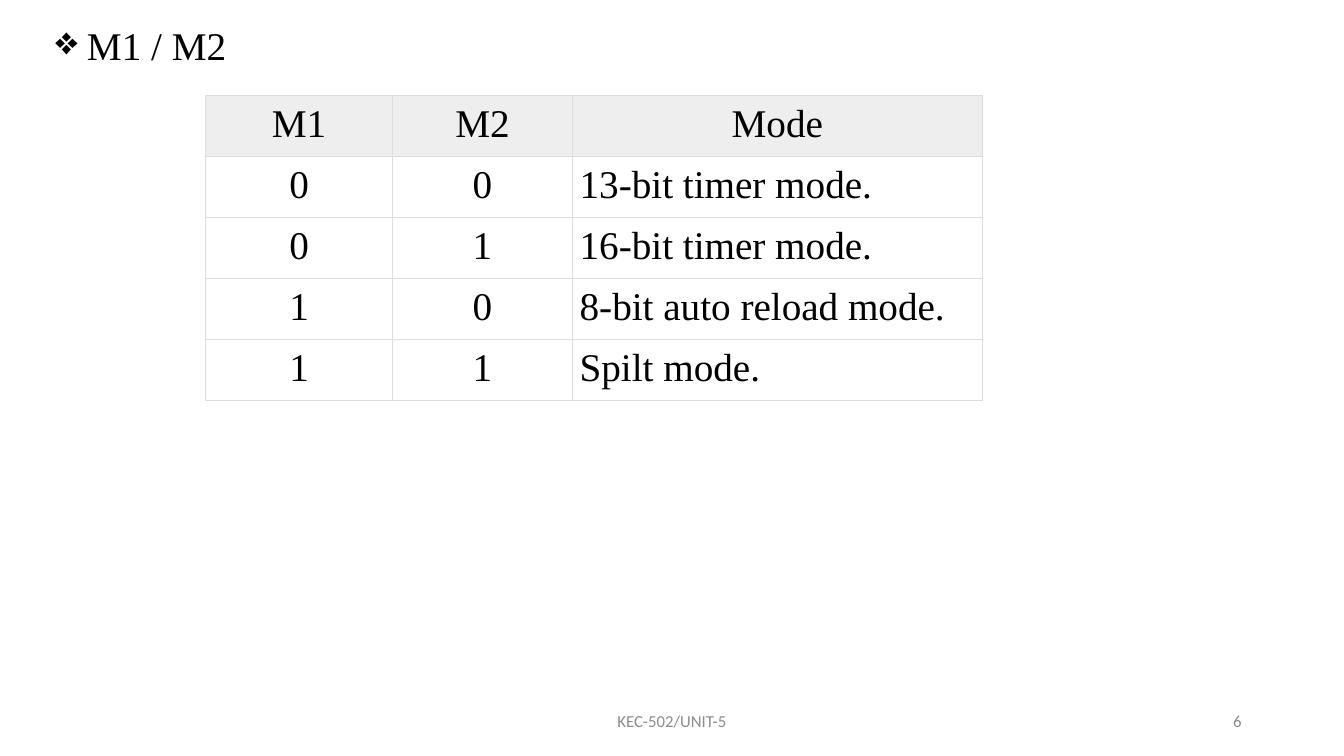
from lxml import etree
from pptx import Presentation
from pptx.dml.color import RGBColor
from pptx.enum import text
from pptx.oxml import ns
from pptx.util import Pt

COLORS = {"ink": "000000", "footer": "8C8C8C", "header": "EEEEEE", "border": "DDDDDD"}
BODY_FORMAT = {"name": "Times New Roman", "size": Pt(28), "bold": False}
FOOTER_FORMAT = {"name": "Calibri", "size": Pt(12)}
LEFT, CENTER, RIGHT = text.PP_ALIGN.LEFT, text.PP_ALIGN.CENTER, text.PP_ALIGN.RIGHT

MODES = [
    ("M1", "M2", "Mode"),
    ("0", "0", "13-bit timer mode."),
    ("0", "1", "16-bit timer mode."),
    ("1", "0", "8-bit auto reload mode."),
    ("1", "1", "Spilt mode."),
]
COLUMN_WIDTHS = (133.2, 128.9, 292.3)
ROW_HEIGHT = 43.2
CELL_MARGIN = 5


def set_attributes(target, values):
    for name, value in values.items():
        setattr(target, name, value)


def write(frame, words, font_format, color, align):
    line = frame.paragraphs[0]
    line.alignment = align
    run = line.add_run()
    run.text = words
    set_attributes(run.font, font_format)
    run.font.color.rgb = RGBColor.from_string(COLORS[color])
    return line


def place(shape, left, top, width, height):
    box = {"left": left, "top": top, "width": width, "height": height}
    set_attributes(shape, {side: Pt(length) for side, length in box.items()})


def add_heading(slide, words):
    heading = slide.shapes.title
    place(heading, 32.4, 11.5, 140.4, 41)
    set_attributes(heading.text_frame, {
        "word_wrap": False,
        "auto_size": text.MSO_AUTO_SIZE.SHAPE_TO_FIT_TEXT,
        "vertical_anchor": text.MSO_ANCHOR.TOP,
    })
    line = write(heading.text_frame, words, BODY_FORMAT, "ink", LEFT)
    # Hanging diamond bullet
    properties = line._p.get_or_add_pPr()
    properties.set("marL", str(Pt(22.5)))
    properties.set("indent", str(-Pt(22.5)))
    etree.SubElement(properties, ns.qn("a:buChar"), char="❖")


def add_footer(slide, words, left, width, align):
    footer = slide.shapes.add_textbox(Pt(left), Pt(500.4), Pt(width), Pt(28.8))
    set_attributes(footer.text_frame, {
        "word_wrap": True, "vertical_anchor": text.MSO_ANCHOR.MIDDLE})
    write(footer.text_frame, words, FOOTER_FORMAT, "footer", align)


def add_borders(cell):
    properties = cell._tc.get_or_add_tcPr()
    for position, side in enumerate(("lnL", "lnR", "lnT", "lnB")):
        border = etree.Element(ns.qn(f"a:{side}"), w=str(Pt(0.6)))
        fill = etree.SubElement(border, ns.qn("a:solidFill"))
        etree.SubElement(fill, ns.qn("a:srgbClr"), val=COLORS["border"])
        properties.insert(position, border)


def format_cell(cell, words, is_header, align):
    margins = ("margin_left", "margin_right", "margin_top", "margin_bottom")
    set_attributes(cell, dict.fromkeys(margins, Pt(CELL_MARGIN)))
    if is_header:
        cell.fill.solid()
        cell.fill.fore_color.rgb = RGBColor.from_string(COLORS["header"])
    else:
        cell.fill.background()
    add_borders(cell)
    write(cell.text_frame, words, BODY_FORMAT, "ink", align)


def add_mode_table(slide, left, top):
    modes = slide.shapes.add_table(
        len(MODES), len(COLUMN_WIDTHS), Pt(left), Pt(top),
        Pt(sum(COLUMN_WIDTHS)), Pt(ROW_HEIGHT * len(MODES))).table
    set_attributes(modes, {"first_row": False, "horz_banding": False})
    for column, width in zip(modes.columns, COLUMN_WIDTHS):
        column.width = Pt(width)
    for r, entries in enumerate(MODES):
        modes.rows[r].height = Pt(ROW_HEIGHT)
        for c, words in enumerate(entries):
            is_header = r == 0
            align = CENTER if is_header or c < 2 else LEFT
            format_cell(modes.cell(r, c), words, is_header, align)


def main():
    deck = Presentation()
    set_attributes(deck, {"slide_width": Pt(960), "slide_height": Pt(540)})
    slide = deck.slides.add_slide(deck.slide_layouts[5])

    # Heading and timer modes
    add_heading(slide, "M1 / M2")
    add_mode_table(slide, 147, 68)

    # Footer and page number
    add_footer(slide, "KEC-502/UNIT-5", 318, 324, CENTER)
    add_footer(slide, "6", 678, 216, RIGHT)

    deck.save("out.pptx")


main()
